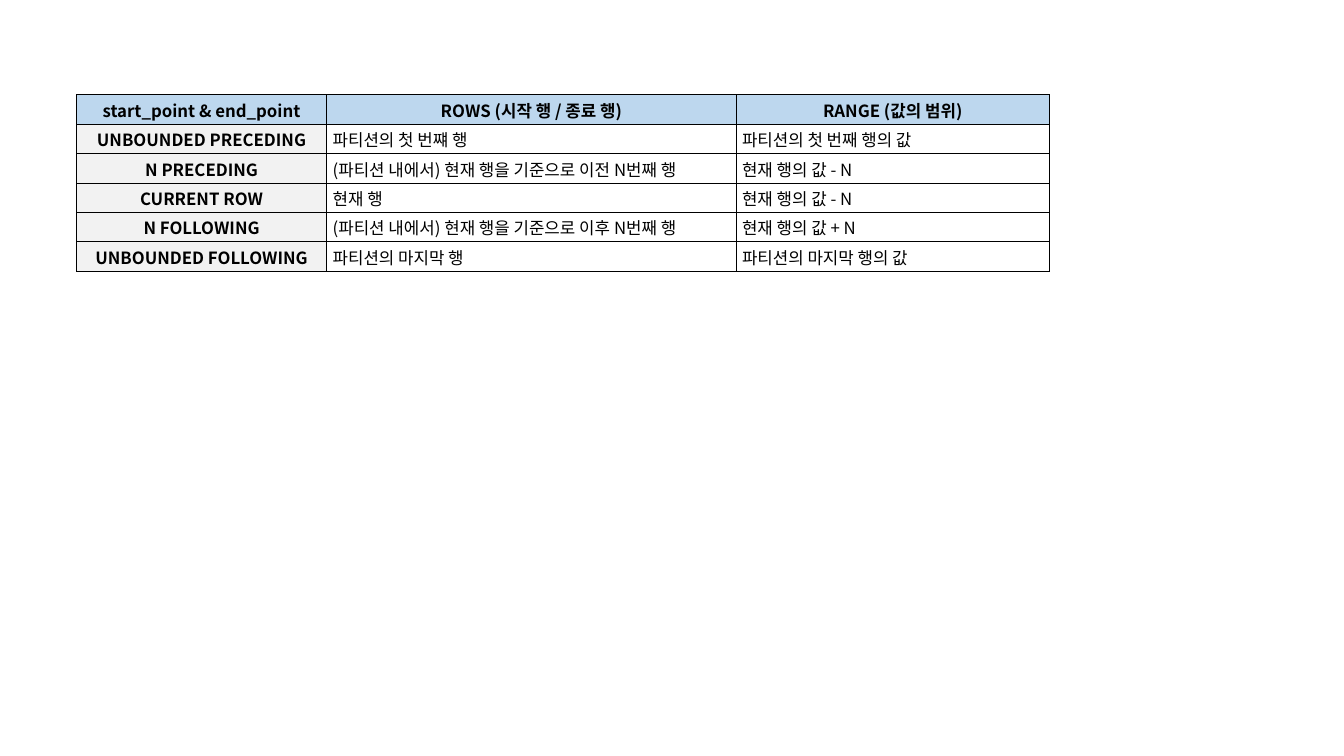
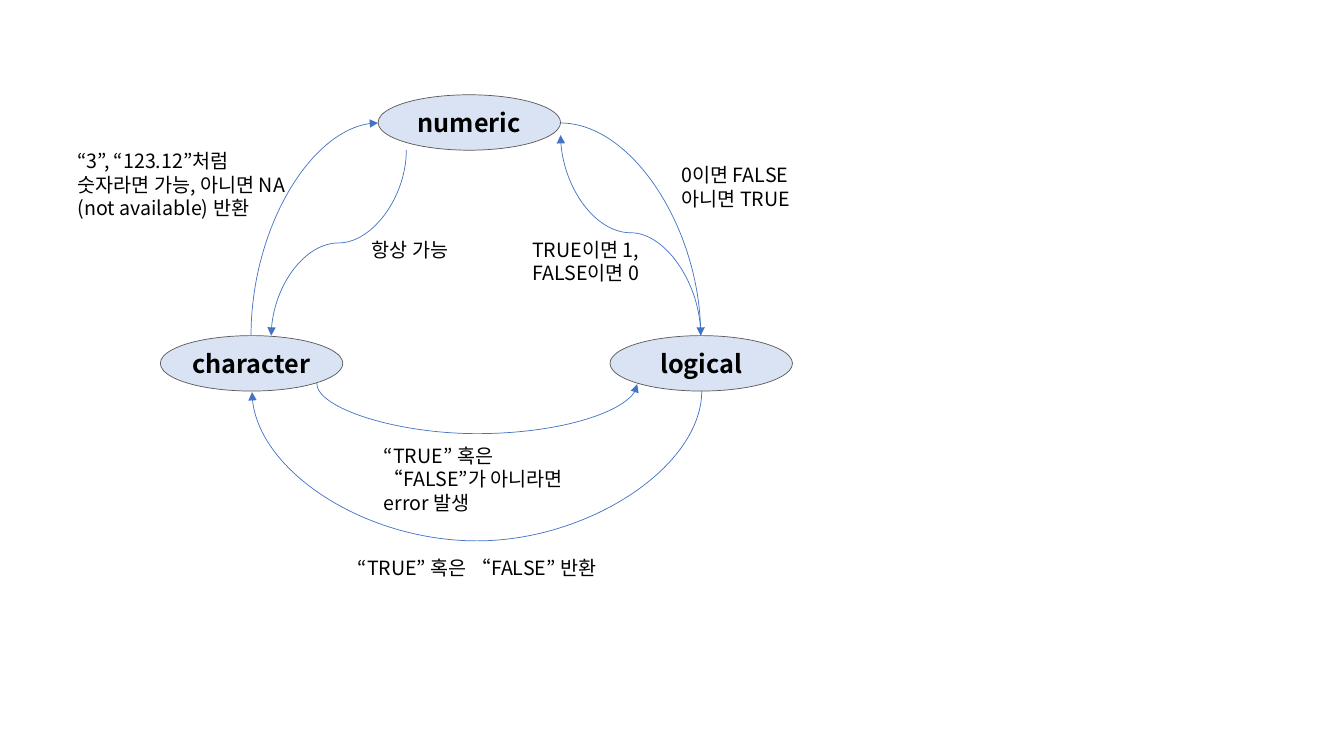
from lxml.etree import SubElement
from pptx import Presentation
from pptx.dml.color import RGBColor
from pptx.enum.shapes import MSO_CONNECTOR as Connector, MSO_SHAPE as Shape
from pptx.enum.text import MSO_ANCHOR as Anchor, PP_ALIGN as Align
from pptx.oxml.ns import qn
from pptx.util import Inches, Pt

# Shared style
FONT = "Noto Sans CJK KR"
BLACK, WHITE = "000000", "FFFFFF"
HEADER_FILL, LABEL_FILL = "BDD7EE", "F2F2F2"
NODE_FILL, NODE_LINE, ARROW = "DAE3F3", "595959", "4472C4"
LINE_WIDTH = Pt(0.5)

TABLE_ROWS = [
    ("start_point & end_point", "ROWS (시작 행 / 종료 행)", "RANGE (값의 범위)"),
    ("UNBOUNDED PRECEDING", "파티션의 첫 번쨰 행", "파티션의 첫 번째 행의 값"),
    ("N PRECEDING", "(파티션 내에서) 현재 행을 기준으로 이전 N번째 행", "현재 행의 값 - N"),
    ("CURRENT ROW", "현재 행", "현재 행의 값 - N"),
    ("N FOLLOWING", "(파티션 내에서) 현재 행을 기준으로 이후 N번째 행", "현재 행의 값 + N"),
    ("UNBOUNDED FOLLOWING", "파티션의 마지막 행", "파티션의 마지막 행의 값"),
]
COLUMN_WIDTHS = (2.48, 4.06, 3.11)

NODES = [("numeric", 3.75, 0.94), ("character", 1.59, 3.33), ("logical", 6.05, 3.33)]

# Start, end, rotation, depth of the bend (None: a single quarter curve)
ARROWS = [
    ((2.49, 3.33), (3.75, 1.22), 90, None),
    ((4.03, 1.49), (2.69, 3.33), 90, 0.92),
    ((5.56, 1.22), (6.95, 3.33), 0, None),
    ((6.95, 3.33), (5.56, 1.34), 270, 1.02),
    ((3.14, 3.8), (6.32, 3.81), 270, 0.51),
    ((6.96, 3.88), (2.5, 3.89), 90, 1.51),
]

# Left, top, width, height, lines
NOTES = [
    (0.67, 1.43, 2.48, 0.81,
     ["“3”, “123.12”처럼", "숫자라면 가능, 아니면 NA", "(not available) 반환"]),
    (3.59, 2.31, 1.07, 0.34, ["항상 가능"]),
    (5.18, 2.31, 1.49, 0.57, ["TRUE이면 1,", "FALSE이면 0"]),
    (6.66, 1.57, 1.49, 0.57, ["0이면 FALSE", "아니면 TRUE"]),
    (3.71, 4.35, 2.34, 0.57, ["“TRUE” 혹은 “FALSE”가 아니라면 error 발생"]),
    (3.45, 5.47, 2.57, 0.34, ["“TRUE” 혹은 “FALSE” 반환"]),
]


def color(value):
    return RGBColor.from_string(value)


def paint(fill, value):
    fill.solid()
    fill.fore_color.rgb = color(value)


def write(paragraph, text, size, bold=False, align=Align.LEFT):
    paragraph.alignment = align
    run = paragraph.add_run()
    run.text = text
    run.font.size = Pt(size)
    run.font.bold = bold
    run.font.name = FONT
    run.font.color.rgb = color(BLACK)
    # East Asian letters take the same font
    SubElement(run.font._element, qn("a:ea"), typeface=FONT)


def add_borders(cell):
    properties = cell._tc.get_or_add_tcPr()
    for side in ("a:lnL", "a:lnR", "a:lnT", "a:lnB"):
        line = SubElement(properties, qn(side), w=str(LINE_WIDTH))
        fill = SubElement(line, qn("a:solidFill"))
        SubElement(fill, qn("a:srgbClr"), val=BLACK)


def add_grid(slide, left, top, height):
    frame = slide.shapes.add_table(
        len(TABLE_ROWS), len(COLUMN_WIDTHS), Inches(left), Inches(top),
        Inches(sum(COLUMN_WIDTHS)), Inches(height))
    table = frame.table
    for column, width in zip(table.columns, COLUMN_WIDTHS):
        column.width = Inches(width)
    for row_index, texts in enumerate(TABLE_ROWS):
        for column_index, text in enumerate(texts):
            cell = table.cell(row_index, column_index)
            is_header, is_label = row_index == 0, column_index == 0
            heading = is_header or is_label
            cell.vertical_anchor = Anchor.MIDDLE
            cell.margin_left = Inches(0.01 if heading else 0.06)
            cell.margin_right = cell.margin_top = Inches(0.01)
            cell.margin_bottom = 0
            add_borders(cell)
            paint(cell.fill, HEADER_FILL if is_header else LABEL_FILL if is_label else WHITE)
            write(cell.text_frame.paragraphs[0], text, 12, heading,
                  Align.CENTER if heading else Align.LEFT)


def add_node(slide, text, left, top):
    shape = slide.shapes.add_shape(
        Shape.OVAL, Inches(left), Inches(top), Inches(1.81), Inches(0.55))
    shape.shadow.inherit = False
    paint(shape.fill, NODE_FILL)
    paint(shape.line.fill, NODE_LINE)
    shape.line.width = LINE_WIDTH
    frame = shape.text_frame
    frame.word_wrap = False
    frame.vertical_anchor = Anchor.MIDDLE
    write(frame.paragraphs[0], text, 18, True, Align.CENTER)


def add_curved_arrow(slide, start, end, rotation, depth):
    dx, dy = end[0] - start[0], end[1] - start[1]
    # Direction of travel before the rotation is applied
    across, down = {0: (dx, dy), 90: (dy, -dx), 270: (-dy, dx)}[rotation]
    width, height = abs(across), abs(down)
    left = (start[0] + end[0] - width) / 2
    top = (start[1] + end[1] - height) / 2
    connector = slide.shapes.add_connector(
        Connector.CURVE, Inches(left), Inches(top),
        Inches(left + width), Inches(top + height))
    paint(connector.line.fill, ARROW)
    connector.line.width = LINE_WIDTH

    properties = connector._element.spPr
    transform = properties.find(qn("a:xfrm"))
    transform.set("rot", str(rotation * 60000))
    for name, length in (("flipH", across), ("flipV", down)):
        if length < 0:
            transform.set(name, "1")
    geometry = properties.find(qn("a:prstGeom"))
    if depth is None:
        geometry.set("prst", "curvedConnector2")
    else:
        bend = round(depth / width * 100000)
        SubElement(geometry.find(qn("a:avLst")), qn("a:gd"), name="adj1", fmla=f"val {bend}")
    SubElement(properties.find(qn("a:ln")), qn("a:tailEnd"), type="triangle")
    SubElement(properties, qn("a:effectLst"))


def add_note(slide, left, top, width, height, lines):
    box = slide.shapes.add_textbox(Inches(left), Inches(top), Inches(width), Inches(height))
    frame = box.text_frame
    frame.word_wrap = True
    for index, line in enumerate(lines):
        paragraph = frame.add_paragraph() if index else frame.paragraphs[0]
        write(paragraph, line, 14)


def main():
    presentation = Presentation()
    presentation.slide_width = Inches(13.33)
    presentation.slide_height = Inches(7.5)
    blank = presentation.slide_layouts[6]

    # Window frame bounds
    table_slide = presentation.slides.add_slide(blank)
    add_grid(table_slide, 0.76, 0.94, 1.75)

    # Type conversions
    diagram_slide = presentation.slides.add_slide(blank)
    for node in NODES:
        add_node(diagram_slide, *node)
    for arrow in ARROWS:
        add_curved_arrow(diagram_slide, *arrow)
    for note in NOTES:
        add_note(diagram_slide, *note)

    presentation.save("out.pptx")


if __name__ == "__main__":
    main()
